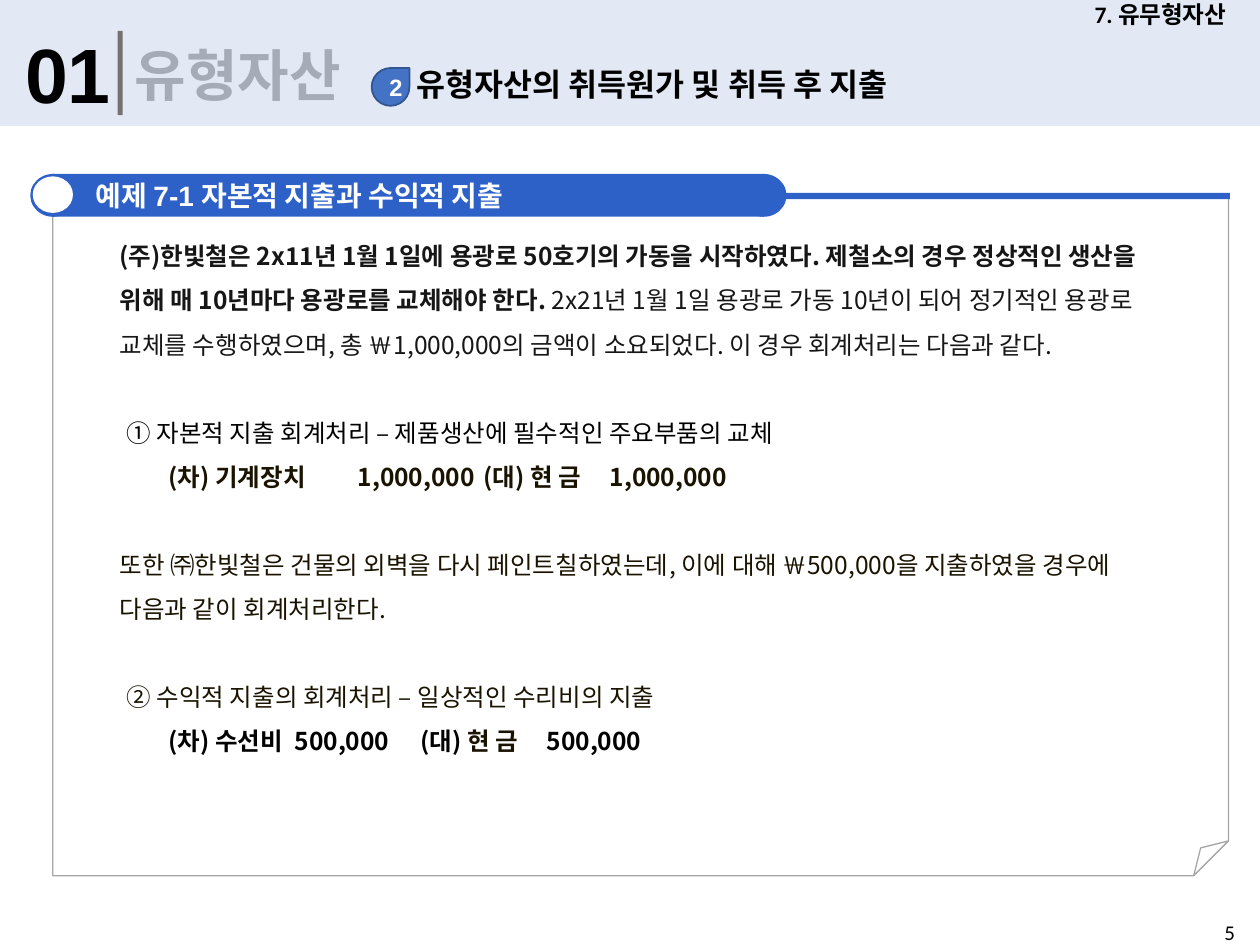
from dataclasses import dataclass
from typing import Any

from lxml.etree import SubElement
from pptx import Presentation
from pptx.dml.color import RGBColor
from pptx.enum.shapes import MSO_SHAPE as Shape
from pptx.enum.text import MSO_ANCHOR as Anchor, PP_ALIGN as Align
from pptx.oxml.ns import qn
from pptx.util import Pt

BLACK, WHITE, INK, BROWN, BLUE = "000000", "FFFFFF", "161616", "1A1300", "2D61C8"
MARGINS = (7.2, 3.6, 7.2, 3.6)


def color(value):
    return RGBColor.from_string(value)


@dataclass
class Painter:
    page: Any
    font: str = "Calibri"
    body_font: str = "Noto Sans CJK KR"
    body_size: float = 14
    pitch: float = 25.2

    def shape(self, kind, place, fill=None, line=None, weight=1, alpha=None):
        item = self.page.shapes.add_shape(kind, *map(Pt, place))
        item.shadow.inherit = False
        if fill:
            item.fill.solid()
            item.fill.fore_color.rgb = color(fill)
        else:
            item.fill.background()
        if alpha:
            tint = item.fill._xPr.find(qn("a:solidFill"))[0]
            SubElement(tint, qn("a:alpha"), val=str(alpha * 1000))
        if line:
            item.line.color.rgb = color(line)
            item.line.width = Pt(weight)
        else:
            item.line.fill.background()
        return item

    def folded_sheet(self, place, fold, line, weight):
        item = self.shape(Shape.FOLDED_CORNER, place, line=line, weight=weight)
        guides = next(item._element.iter(qn("a:avLst")))
        SubElement(guides, qn("a:gd"), name="adj", fmla=f"val {fold}")

    def box(self, place):
        return self.page.shapes.add_textbox(*map(Pt, place))

    def title(self, place):
        item = self.page.shapes.title
        item.left, item.top, item.width, item.height = map(Pt, place)
        return item

    def frame(self, item, margins=MARGINS, anchor=Anchor.TOP, wrap=True):
        frame = item.text_frame
        frame.word_wrap = wrap
        frame.vertical_anchor = anchor
        (frame.margin_left, frame.margin_top,
         frame.margin_right, frame.margin_bottom) = map(Pt, margins)
        return frame

    def span(self, para, text, size, tone, bold=True, font=None):
        span = para.add_run()
        span.text = text
        span.font.name = font or self.font
        span.font.size = Pt(size)
        span.font.bold = bold
        span.font.color.rgb = color(tone)

    def label(self, item, size, parts, tone=BLACK, bold=True, align=Align.LEFT, **layout):
        para = self.frame(item, **layout).paragraphs[0]
        para.alignment = align
        para.line_spacing = 1.0
        for text, font in parts:
            self.span(para, text, size, tone, bold, font)

    def body(self, para, parts, gap=False, indent=0, tabs=()):
        para.line_spacing = Pt(self.pitch)
        if gap:
            para.space_before = Pt(self.pitch)
        properties = para._p.get_or_add_pPr()
        properties.set("marL", str(Pt(indent)))
        properties.set("indent", "0")
        if tabs:
            stops = SubElement(properties, qn("a:tabLst"))
            for stop in tabs:
                SubElement(stops, qn("a:tab"), pos=str(Pt(stop)), algn="l")
        for text, tone, bold in parts:
            self.span(para, text, self.body_size, tone, bold, self.body_font)


def draw_header(painter):
    painter.shape(Shape.RECTANGLE, (0, 0, 720, 72), "DAE3F3", alpha=76)
    painter.label(painter.box((7.2, 11.5, 65.5, 60.5)), 44, [("01", "Arial")], wrap=False)
    painter.shape(Shape.RECTANGLE, (67.3, 17.6, 2.9, 48.2), "767171")
    painter.label(painter.title((69.8, 19.4, 140, 46)), 32, [("유형자산", None)])
    painter.label(painter.box((231.1, 33.8, 390, 29)), 18,
                  [("유형자산의 취득원가 및 취득 후 지출", None)])
    badge = painter.shape(Shape.TEAR, (212.4, 38.9, 21.6, 21.6), "4472C4", "325491")
    painter.label(badge, 13.5, [("2", "Arial")], WHITE, align=Align.CENTER,
                  anchor=Anchor.MIDDLE, margins=(6, 0, 0, 0), wrap=False)
    painter.label(painter.box((606.2, 0, 113.8, 16.6)), 13.5, [("7. 유무형자산", None)],
                  align=Align.CENTER, anchor=Anchor.MIDDLE)


def draw_panel(painter):
    painter.folded_sheet((30.2, 111.6, 671.8, 388.8), 5100, "A6A6A6", 0.75)
    painter.shape(Shape.RECTANGLE, (31, 110.2, 671.8, 3.6), BLUE)
    for left in (17.3, 423.4):
        painter.shape(Shape.OVAL, (left, 99.4, 26, 24.5), BLUE)
    banner = painter.shape(Shape.RECTANGLE, (29.5, 99.4, 406.8, 24.5), BLUE)
    painter.label(banner, 16, [("예제 ", None), ("7-1 ", "Arial"), ("자본적 지출과 수익적 지출", None)],
                  WHITE, anchor=Anchor.MIDDLE, margins=(25.2, 3.6, 7.2, 3.6))
    painter.shape(Shape.OVAL, (18.7, 100.8, 23, 20.9), WHITE)


def draw_example(painter):
    frame = painter.frame(painter.box((60.5, 126, 612, 368.6)), (7.9, 3.6, 7.9, 3.6))
    paragraphs = [
        dict(parts=[
            ("(주)한빛철은 2x11년 1월 1일에 용광로 50호기의 가동을 시작하였다. 제철소의 경우 정상적인 "
             "생산을 위해 매 10년마다 용광로를 교체해야 한다. ", INK, True),
            ("2x21년 1월 1일 용광로 가동 10년이 되어 정기적인 용광로 교체를 수행하였으며, "
             "총 ￦1,000,000의 금액이 소요되었다. 이 경우 회계처리는 다음과 같다.", INK, False)]),
        dict(parts=[("① 자본적 지출 회계처리 – 제품생산에 필수적인 주요부품의 교체", BLACK, False)],
             gap=True, indent=4),
        dict(parts=[("(차) 기계장치\t1,000,000\t(대) 현 금\t1,000,000", BROWN, True)],
             indent=28, tabs=(156, 263, 356)),
        dict(parts=[("또한 ㈜한빛철은 건물의 외벽을 다시 페인트칠하였는데, 이에 대해 ￦500,000을 "
                     "지출하였을 경우에 다음과 같이 회계처리한다.", BROWN, False)], gap=True),
        dict(parts=[("② 수익적 지출의 회계처리 – 일상적인 수리비의 지출", BROWN, False)],
             gap=True, indent=4),
        dict(parts=[("(차) 수선비\t500,000\t(대) ", BLACK, True), ("현 금\t", BROWN, True),
                    ("500,000", BLACK, True)],
             indent=28, tabs=(146, 242, 343)),
    ]
    for index, paragraph in enumerate(paragraphs):
        para = frame.add_paragraph() if index else frame.paragraphs[0]
        painter.body(para, **paragraph)


def main():
    deck = Presentation()
    deck.slide_width, deck.slide_height = Pt(720), Pt(540)
    painter = Painter(deck.slides.add_slide(deck.slide_layouts[5]))
    draw_header(painter)
    draw_panel(painter)
    draw_example(painter)
    painter.label(painter.box((692.6, 522, 27, 18)), 12, [("5", None)], bold=False)
    deck.save("out.pptx")


if __name__ == "__main__":
    main()
